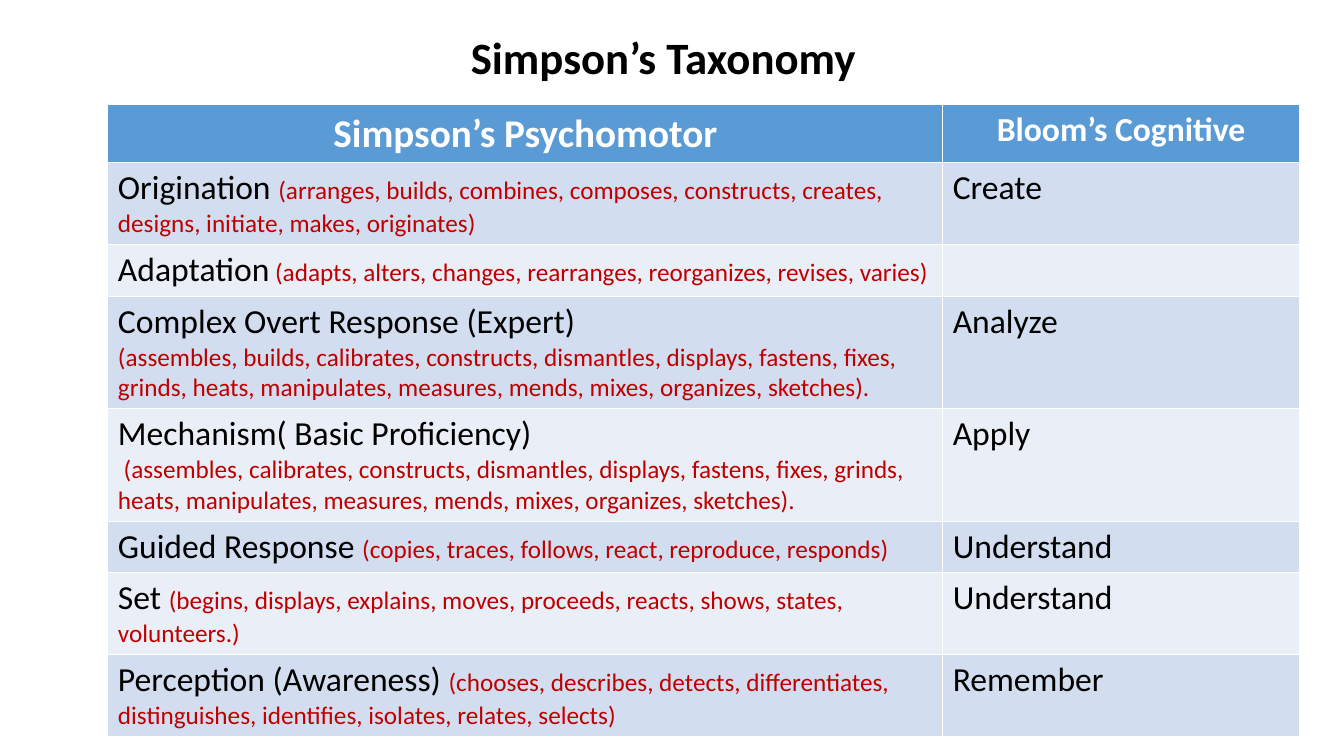
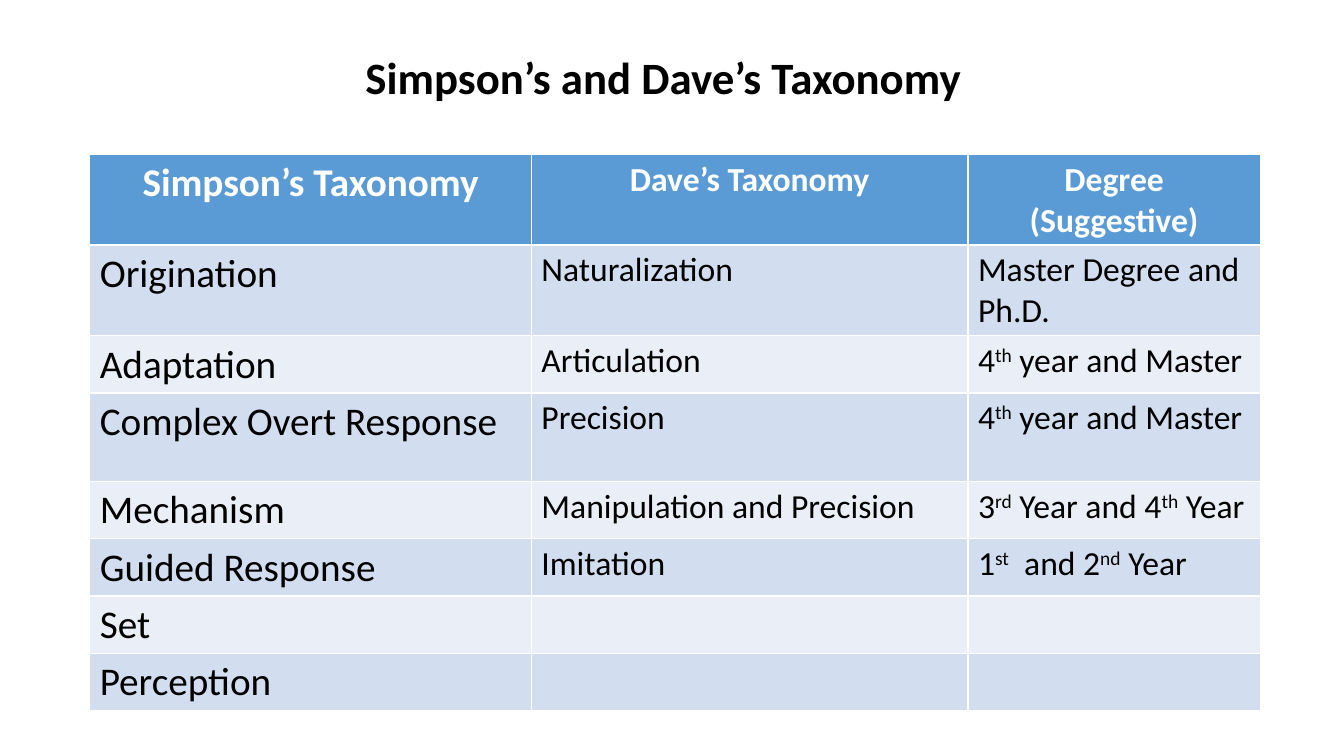
from pptx import Presentation
from pptx.dml.color import RGBColor
from pptx.enum.text import MSO_AUTO_SIZE, PP_ALIGN
from pptx.util import Inches, Pt

COLORS = {
    "header": "5B9BD5",
    "band_dark": "D2DEEF",
    "band_light": "EAEFF7",
    "white": "FFFFFF",
    "text": "000000",
    "verbs": "C00000",
}
FONT = "Calibri"
ROW_HEIGHTS = [0.28, 0.28, 0.51, 0.88, 0.51, 0.51, 0.51, 0.51]

# "|" switches the accent on and off, a line break starts a new paragraph
PAGES = [
    {
        "title": "Simpson’s Taxonomy",
        "title_top": 0.25,
        "table_at": (1.07, 1.04),
        "widths": [8.28, 3.54],
        "body_sizes": [24, 24],
        "accent": "verbs",
        "rows": [
            ["Simpson’s Psychomotor", "Bloom’s Cognitive"],
            ["Origination |(arranges, builds, combines, composes, constructs, creates, "
             "designs, initiate, makes, originates)", "Create"],
            ["Adaptation| (adapts, alters, changes, rearranges, reorganizes, revises, varies)", ""],
            ["Complex Overt Response (Expert)\n|(assembles, builds, calibrates, constructs, "
             "dismantles, displays, fastens, fixes, grinds, heats, manipulates, measures, "
             "mends, mixes, organizes, sketches).", "Analyze"],
            ["Mechanism( Basic Proficiency)\n| (assembles, calibrates, constructs, dismantles, "
             "displays, fastens, fixes, grinds, heats, manipulates, measures, mends, mixes, "
             "organizes, sketches).", "Apply"],
            ["Guided Response |(copies, traces, follows, react, reproduce, responds)", "Understand"],
            ["Set |(begins, displays, explains, moves, proceeds, reacts, shows, states, "
             "volunteers.)", "Understand"],
            ["Perception (Awareness) |(chooses, describes, detects, differentiates, "
             "distinguishes, identifies, isolates, relates, selects)", "Remember"],
        ],
    },
    {
        "title": "Simpson’s and Dave’s Taxonomy",
        "title_top": 0.44,
        "table_at": (0.89, 1.53),
        "widths": [4.38, 4.33, 2.9],
        "body_sizes": [28, 24, 24],
        "accent": "raised",
        "rows": [
            ["Simpson’s Taxonomy", "Dave’s Taxonomy", "Degree (Suggestive)"],
            ["Origination", "Naturalization", "Master Degree and Ph.D."],
            ["Adaptation", "Articulation", "4|th| year and Master"],
            ["Complex Overt Response", "Precision", "4|th| year and Master"],
            ["Mechanism", "Manipulation and Precision", "3|rd| Year and 4|th| Year"],
            ["Guided Response", "Imitation", "1|st|  and 2|nd| Year"],
            ["Set", "", ""],
            ["Perception", "", ""],
        ],
    },
]


def color(name):
    return RGBColor.from_string(COLORS[name])


def write_para(para, text, size, color_name, bold, align, accent=None):
    para.alignment = align
    para.font.name = FONT
    para.font.size = Pt(size)
    para.font.bold = bold
    para.font.color.rgb = color(color_name)
    for index, part in enumerate(text.split("|")):
        if not part:
            continue
        span = para.add_run()
        span.text = part
        if index % 2 and accent == "verbs":
            span.font.size = Pt(18)
            span.font.color.rgb = color("verbs")
        elif index % 2:
            span._r.get_or_add_rPr().set("baseline", "30000")


deck = Presentation()
deck.slide_width = Inches(13.33)
deck.slide_height = Inches(7.5)

for content in PAGES:
    page = deck.slides.add_slide(deck.slide_layouts[6])
    rows, widths = content["rows"], content["widths"]
    left, top = content["table_at"]
    table = page.shapes.add_table(
        len(rows), len(widths), Inches(left), Inches(top),
        Inches(sum(widths)), Inches(sum(ROW_HEIGHTS))).table
    for column, width in zip(table.columns, widths):
        column.width = Inches(width)
    for row, height in zip(table.rows, ROW_HEIGHTS):
        row.height = Inches(height)

    for row_index, texts in enumerate(rows):
        is_header = row_index == 0
        band = "header" if is_header else "band_dark" if row_index % 2 else "band_light"
        sizes = [28, 24, 24] if is_header else content["body_sizes"]
        for column_index, text in enumerate(texts):
            cell = table.cell(row_index, column_index)
            cell.fill.solid()
            cell.fill.fore_color.rgb = color(band)
            if not text:
                continue
            frame = cell.text_frame
            for line_index, line in enumerate(text.split("\n")):
                para = frame.add_paragraph() if line_index else frame.paragraphs[0]
                write_para(para, line, sizes[column_index],
                           "white" if is_header else "text", is_header,
                           PP_ALIGN.CENTER if is_header else PP_ALIGN.LEFT,
                           content["accent"])

    box = page.shapes.add_textbox(
        Inches(3.05), Inches(content["title_top"]), Inches(7.06), Inches(0.64))
    box.text_frame.word_wrap = True
    box.text_frame.auto_size = MSO_AUTO_SIZE.SHAPE_TO_FIT_TEXT
    write_para(box.text_frame.paragraphs[0], content["title"], 32, "text", True, PP_ALIGN.CENTER)

deck.save("out.pptx")
